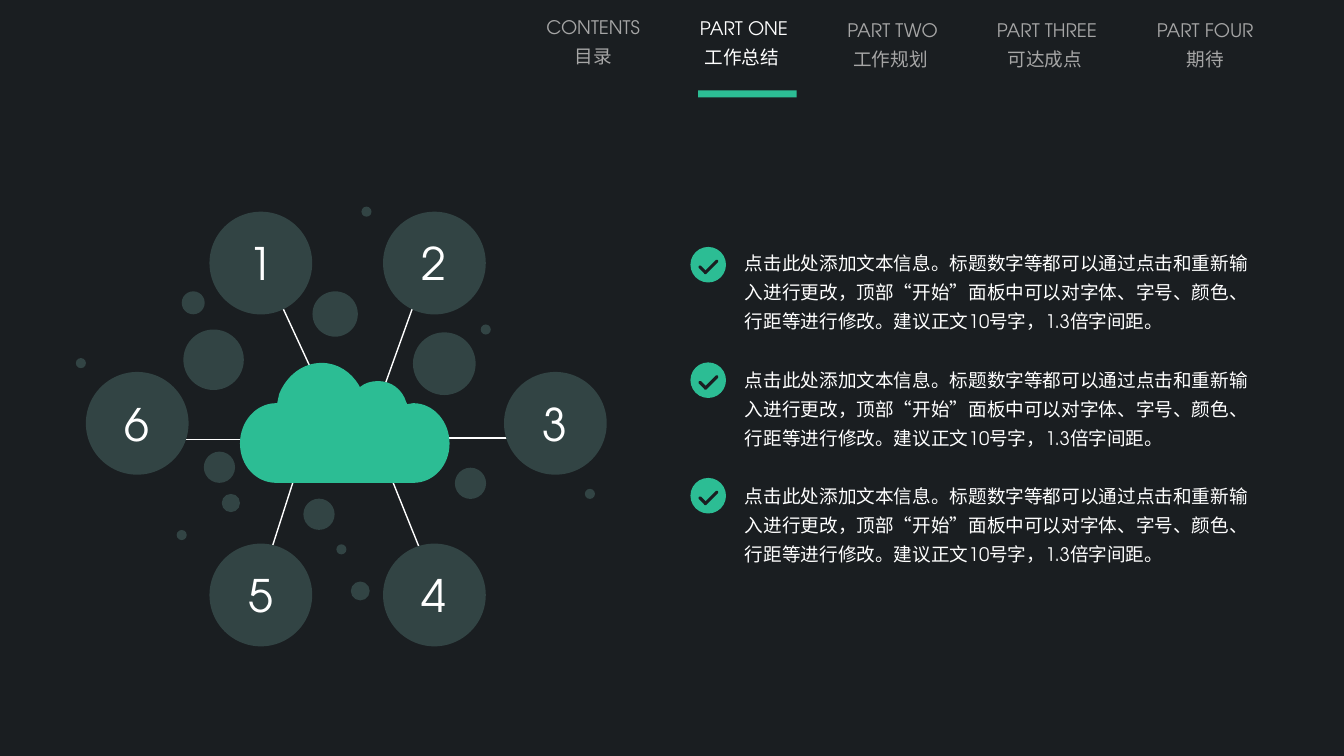
from lxml import etree
from pptx import Presentation
from pptx import util as u
from pptx.dml import color
from pptx.enum import lang, shapes, text
from pptx.oxml import ns

Pt = u.Pt
oval = shapes.MSO_SHAPE.OVAL
rect = shapes.MSO_SHAPE.RECTANGLE
mid = text.PP_ALIGN.CENTER

look = {
    "font": "TeX Gyre Adventor",
    "back": color.RGBColor.from_string("1A1E21"),
    "green": color.RGBColor.from_string("2CBD94"),
    "slate": color.RGBColor.from_string("324444"),
    "grey": color.RGBColor.from_string("A6A6A6"),
    "white": color.RGBColor.from_string("FFFFFF"),
    "small": 13.3,
    "large": 32,
}

deck = Presentation()
deck.slide_width, deck.slide_height = Pt(960), Pt(540)
slide = deck.slides.add_slide(deck.slide_layouts[1])
slide.background.fill.solid()
slide.background.fill.fore_color.rgb = look["back"]


def paint(kind, x, y, w, h, tone):
    item = slide.shapes.add_shape(kind, Pt(x), Pt(y), Pt(w), Pt(h))
    item.shadow.inherit = False
    item.fill.solid()
    item.fill.fore_color.rgb = look[tone]
    item.line.fill.background()
    return item


def write(frame, lines, size, tone, align, space=1.0, gap=0):
    for i, line in enumerate(lines):
        para = frame.add_paragraph() if i else frame.paragraphs[0]
        para.alignment = align
        para.line_spacing = space
        para.space_before = Pt(0)
        para.space_after = Pt(gap if i < len(lines) - 1 else 0)
        run = para.add_run()
        run.text = line
        run.font.name = look["font"]
        run.font.size = Pt(look[size])
        run.font.color.rgb = look[tone]
        run.font.language_id = lang.MSO_LANGUAGE_ID.SIMPLIFIED_CHINESE


tabs = [
    (382.3, 3.3, 82.8, "CONTENTS", "目录"),
    (492.2, 3.4, 78.5, "PART ONE", "工作总结 "),
    (597.6, 5, 79.9, "PART TWO", "工作规划 "),
    (704.2, 5, 87.1, "PART THREE", "可达成点 "),
    (818.4, 5, 85, "PART FOUR", "期待"),
]
for x, y, w, name, label in tabs:
    live = name == "PART ONE"
    if live:
        tab = slide.shapes.title
        tab.left, tab.top, tab.width, tab.height = Pt(x), Pt(y), Pt(w), Pt(49.5)
    else:
        tab = slide.shapes.add_textbox(Pt(x), Pt(y), Pt(w), Pt(49.5))
    frame = tab.text_frame
    frame.word_wrap = False
    frame.auto_size = text.MSO_AUTO_SIZE.NONE
    frame.vertical_anchor = text.MSO_ANCHOR.TOP
    write(frame, [name, label], "small", "white" if live else "grey", mid, 1.3)

paint(rect, 498.6, 64.6, 70.4, 4.9, "green")

spokes = [
    (200.2, 216, 223.2, 265.7),
    (299.5, 206.6, 273.6, 278.6),
    (116.6, 313.9, 182.9, 313.9),
    (306.7, 312.8, 373, 312.8),
    (186.5, 415.4, 211, 339.1),
    (306.7, 409, 273.6, 326.9),
]
for x1, y1, x2, y2 in spokes:
    spoke = slide.shapes.add_connector(
        shapes.MSO_CONNECTOR.STRAIGHT, Pt(x1), Pt(y1), Pt(x2), Pt(y2))
    spoke.line.color.rgb = look["white"]
    spoke.line.width = Pt(1)
    etree.SubElement(spoke.element.spPr, ns.qn("a:effectLst"))

left, top = 171.4, 259.2
start = (229.7, 259.2)
edge = [
    (241.2, 259.2, 250.6, 265.7, 256.3, 275),
    (257, 276.5),
    (260.6, 273.6, 265, 272.2, 270, 272.2),
    (279.4, 272.2, 287.3, 277.9, 290.2, 287.3),
    (290.9, 288.7),
    (295.2, 288),
    (309.6, 288, 321.1, 301, 321.1, 316.8),
    (321.1, 332.6, 309.6, 344.9, 295.2, 344.9),
    (197.3, 344.9),
    (182.9, 344.9, 171.4, 332.6, 171.4, 316.8),
    (171.4, 301, 182.9, 288, 197.3, 288),
    (198, 288),
    (199.4, 281.5),
    (204.5, 268.6, 216, 259.2, 229.7, 259.2),
]
pen = slide.shapes.build_freeform(start[0] * 100, start[1] * 100, scale=Pt(1) / 100)
pen.add_line_segments([(p[-2] * 100, p[-1] * 100) for p in edge], close=True)
cloud = pen.convert_to_shape()
cloud.shadow.inherit = False
cloud.fill.solid()
cloud.fill.fore_color.rgb = look["green"]
cloud.line.fill.background()
for step, part in zip(list(cloud.element.iter(ns.qn("a:lnTo"))), edge):
    if len(part) == 6:
        curve = etree.Element(ns.qn("a:cubicBezTo"))
        for x, y in zip(part[::2], part[1::2]):
            etree.SubElement(curve, ns.qn("a:pt"), x=str(round((x - left) * 100)),
                             y=str(round((y - top) * 100)))
        step.getparent().replace(step, curve)

nodes = [(149.6, 151.2), (273.6, 151.2), (360, 265.7),
         (273.6, 388.3), (149.6, 388.3), (61.3, 265.7)]
for i, (x, y) in enumerate(nodes, 1):
    node = paint(oval, x, y, 73.4, 73.4, "slate")
    node.text_frame.vertical_anchor = text.MSO_ANCHOR.MIDDLE
    write(node.text_frame, [str(i)], "large", "white", mid)

specks = [
    (131, 235.4, 43.2), (223.2, 208.1, 32.4), (216.7, 356.2, 22.3),
    (324.9, 334.1, 22.3), (145.6, 322.6, 22.3), (295, 237.4, 44.8),
    (158.4, 352.8, 13), (129.8, 208.1, 16.4), (258.2, 147.6, 7.2),
    (343.4, 231.8, 7.2), (54.2, 255.8, 7.2), (417.8, 349.2, 7.2),
    (240.3, 388.8, 7.2), (250.6, 415.4, 13.5), (126.2, 378.6, 7.2),
]
for x, y, d in specks:
    paint(oval, x, y, d, d, "slate")

note = ("点击此处添加文本信息。标题数字等都可以通过点击和重新输入进行更改，"
        "顶部“开始”面板中可以对字体、字号、颜色、行距等进行修改。"
        "建议正文10号字，1.3倍字间距。")
body = slide.placeholders[1]
body.left, body.top, body.width, body.height = Pt(524.9), Pt(171.8), Pt(374.4), Pt(238.3)
body.text_frame.auto_size = text.MSO_AUTO_SIZE.NONE
write(body.text_frame, [note] * 3, "small", "white", text.PP_ALIGN.LEFT, 1.3, 20.9)
for para in body.text_frame.paragraphs:
    props = para._p.get_or_add_pPr()
    props.set("marL", "0")
    props.set("indent", "0")
    etree.SubElement(props, ns.qn("a:buNone"))

for i in range(3):
    y0 = 176.4 + 82.5 * i
    paint(oval, 493.2, y0, 25.4, 25.4, "green")
    for x, y, w, turn in [(499, 15.8, 5.8, 45), (501.9, 13.9, 12.2, 315)]:
        tick = paint(rect, x, y0 + y, w, 0.7, "back")
        tick.rotation = turn
        tick.line.color.rgb = look["back"]
        tick.line.width = Pt(1.5)

deck.save("out.pptx")
